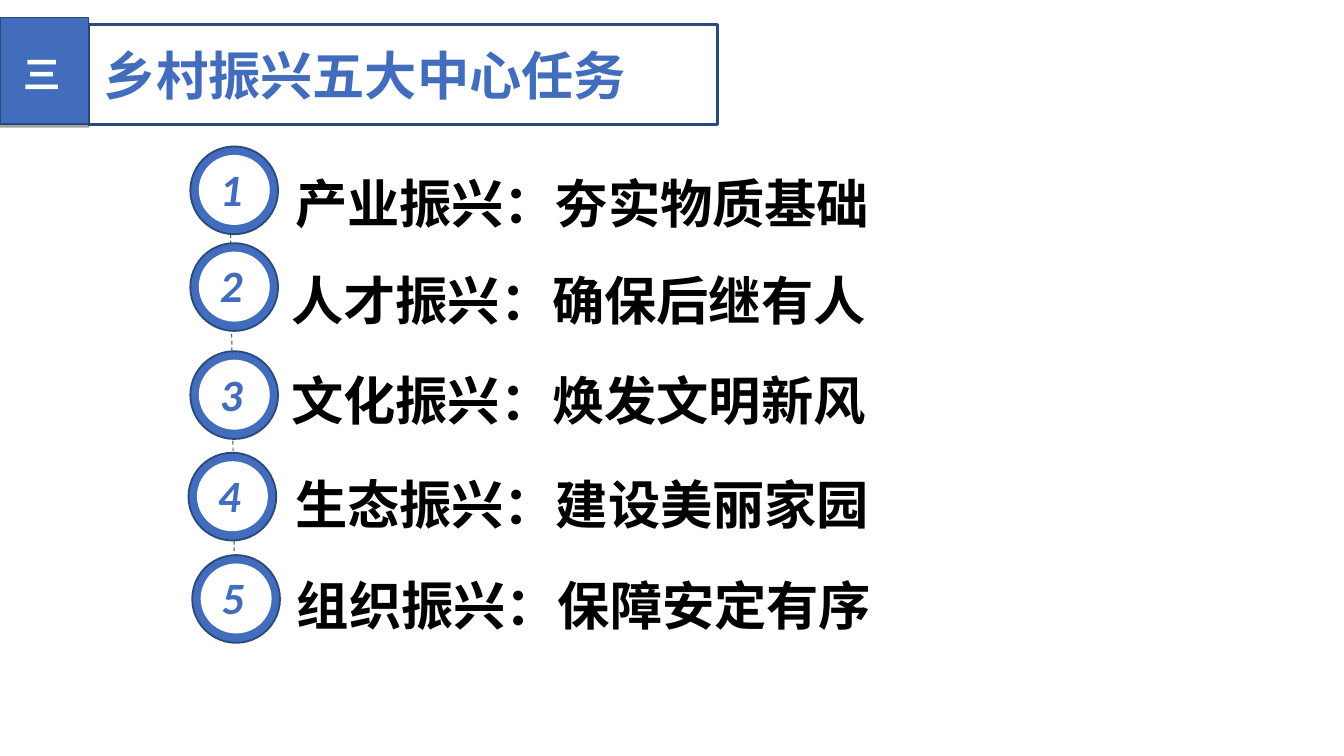
from lxml import etree
from pptx import Presentation
from pptx.dml.color import RGBColor
from pptx.enum import dml, shapes, text
from pptx.oxml import ns
from pptx.util import Pt

COLORS = {"blue": "426DBD", "outline": "2C497E", "white": "FFFFFF", "black": "000000"}
CJK = "Noto Sans CJK SC"
SHAPE = shapes.MSO_SHAPE


def add_run(paragraph, words, size, color, font=CJK, italic=False):
    """Add a bold run, with its font set for Latin and East Asian text."""
    run = paragraph.add_run()
    run.text = words
    run.font.size = Pt(size)
    run.font.bold = True
    run.font.italic = italic
    run.font.color.rgb = RGBColor.from_string(COLORS[color])
    run.font.name = font
    east_asian = etree.SubElement(run.font._element, ns.qn("a:ea"))
    east_asian.set("typeface", font)


def add_filled(parent, preset, left, top, width, height, fill, line_width=0):
    """Add a filled shape without shadow, outlined if line_width is given."""
    shape = parent.add_shape(preset, Pt(left), Pt(top), Pt(width), Pt(height))
    shape.shadow.inherit = False
    shape.fill.solid()
    shape.fill.fore_color.rgb = RGBColor.from_string(COLORS[fill])
    if line_width:
        shape.line.color.rgb = RGBColor.from_string(COLORS["outline"])
        shape.line.width = Pt(line_width)
    else:
        shape.line.fill.background()
    return shape


prs = Presentation()
prs.slide_width, prs.slide_height = Pt(720), Pt(405)
slide = prs.slides.add_slide(prs.slide_layouts[5])

# Dashed thread behind the numbers
thread = slide.shapes.add_connector(
    shapes.MSO_CONNECTOR.STRAIGHT, Pt(123), Pt(79), Pt(126), Pt(343.5))
thread.line.color.rgb = RGBColor.from_string(COLORS["outline"])
thread.line.width = Pt(0.5)
thread.line.dash_style = dml.MSO_LINE.DASH
etree.SubElement(thread._element.spPr, ns.qn("a:effectLst"))

# Five tasks: badge left and top, label left and top, wording
tasks = [
    (102, 78.5, 151, 71.3, "产业振兴：夯实物质基础"),
    (102, 130.3, 149, 123.1, "人才振兴：确保后继有人"),
    (102, 188.2, 149, 177.1, "文化振兴：焕发文明新风"),
    (101, 242.6, 151, 232.6, "生态振兴：建设美丽家园"),
    (103, 297.4, 152, 286.6, "组织振兴：保障安定有序"),
]
for number, (left, top, label_left, label_top, wording) in enumerate(tasks, 1):
    task = slide.shapes.add_group_shape().shapes
    add_filled(task, SHAPE.OVAL, left, top, 47, 47, "blue", 1)
    add_filled(task, SHAPE.OVAL, left + 4.5, top + 4.5, 38, 37.5, "white")

    digit = task.add_textbox(Pt(left + 8.7), Pt(top + 4.5), Pt(31), Pt(36)).text_frame
    digit.word_wrap = True
    add_run(digit.paragraphs[0], str(number), 24, "blue", "Calibri", italic=True)

    label = task.add_textbox(Pt(label_left), Pt(label_top), Pt(327), Pt(58)).text_frame
    label.word_wrap = False
    label.auto_size = text.MSO_AUTO_SIZE.SHAPE_TO_FIT_TEXT
    label.paragraphs[0].line_spacing = 1.5
    add_run(label.paragraphs[0], wording, 28, "black")

# Heading: framed title with a section tab
frame = add_filled(slide.shapes, SHAPE.ROUNDED_RECTANGLE, 47.5, 13, 337, 53.5, "white", 1.5)
tab = add_filled(slide.shapes, SHAPE.ROUNDED_RECTANGLE, 0, 9.4, 47.5, 57, "blue", 0.75)
for box in (frame, tab):
    box.adjustments[0] = 0
effects = tab._element.spPr.find(ns.qn("a:effectLst"))
shadow = etree.SubElement(effects, ns.qn("a:outerShdw"), blurRad="0",
                          dist=str(Pt(1.6)), dir="5400000", rotWithShape="0")
shadow_color = etree.SubElement(shadow, ns.qn("a:srgbClr"), val=COLORS["black"])
etree.SubElement(shadow_color, ns.qn("a:alpha"), val="37000")

section = slide.shapes.add_textbox(Pt(-21), Pt(17.3), Pt(87), Pt(44.6)).text_frame
section.word_wrap = True
section.vertical_anchor = text.MSO_ANCHOR.MIDDLE
section.paragraphs[0].alignment = text.PP_ALIGN.CENTER
add_run(section.paragraphs[0], "三", 20, "white")

title = slide.shapes.title
title.left, title.top, title.width, title.height = Pt(32.4), Pt(10.8), Pt(337), Pt(58.3)
heading = title.text_frame
heading.word_wrap = True
heading.auto_size = text.MSO_AUTO_SIZE.NONE
heading.vertical_anchor = text.MSO_ANCHOR.MIDDLE
heading.margin_left = Pt(23.3)
heading.paragraphs[0].alignment = text.PP_ALIGN.LEFT
add_run(heading.paragraphs[0], "乡村振兴五大中心任务", 28, "blue")
slide.shapes._spTree.append(title._element)  # in front of its frame

prs.save("out.pptx")
